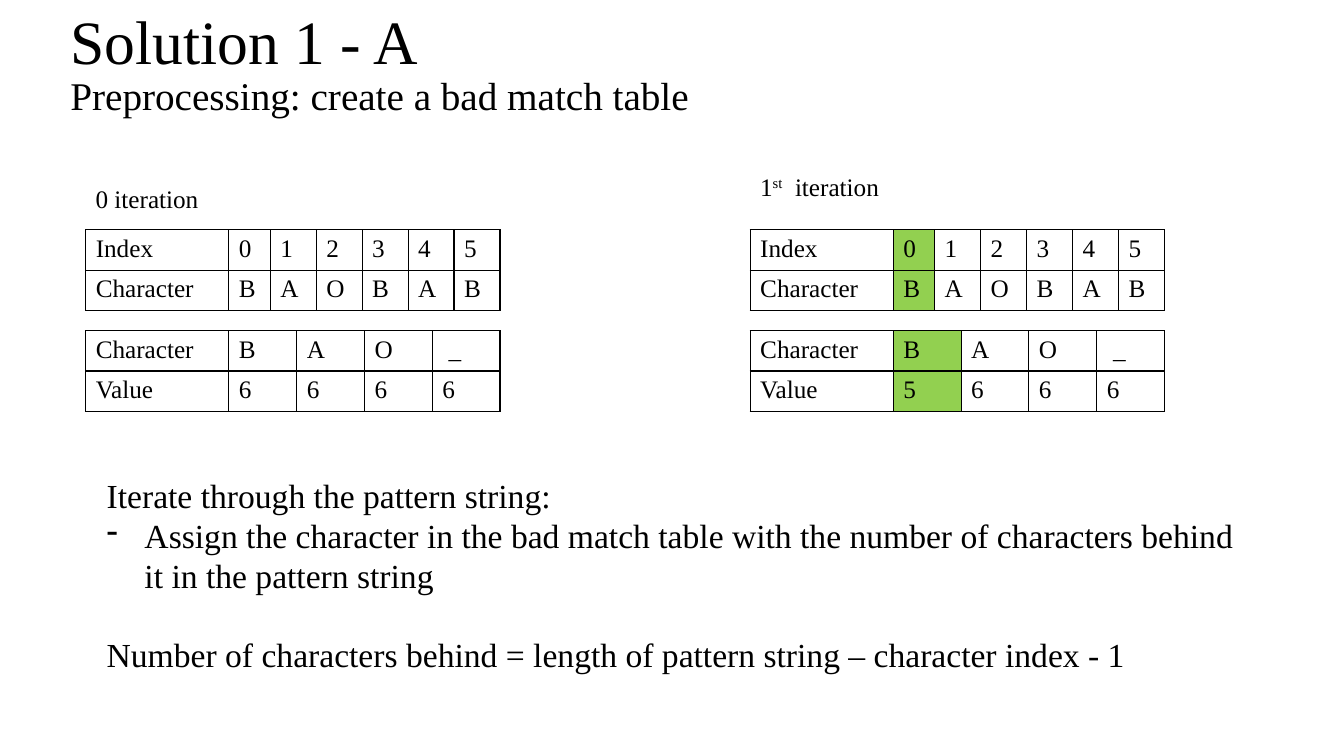
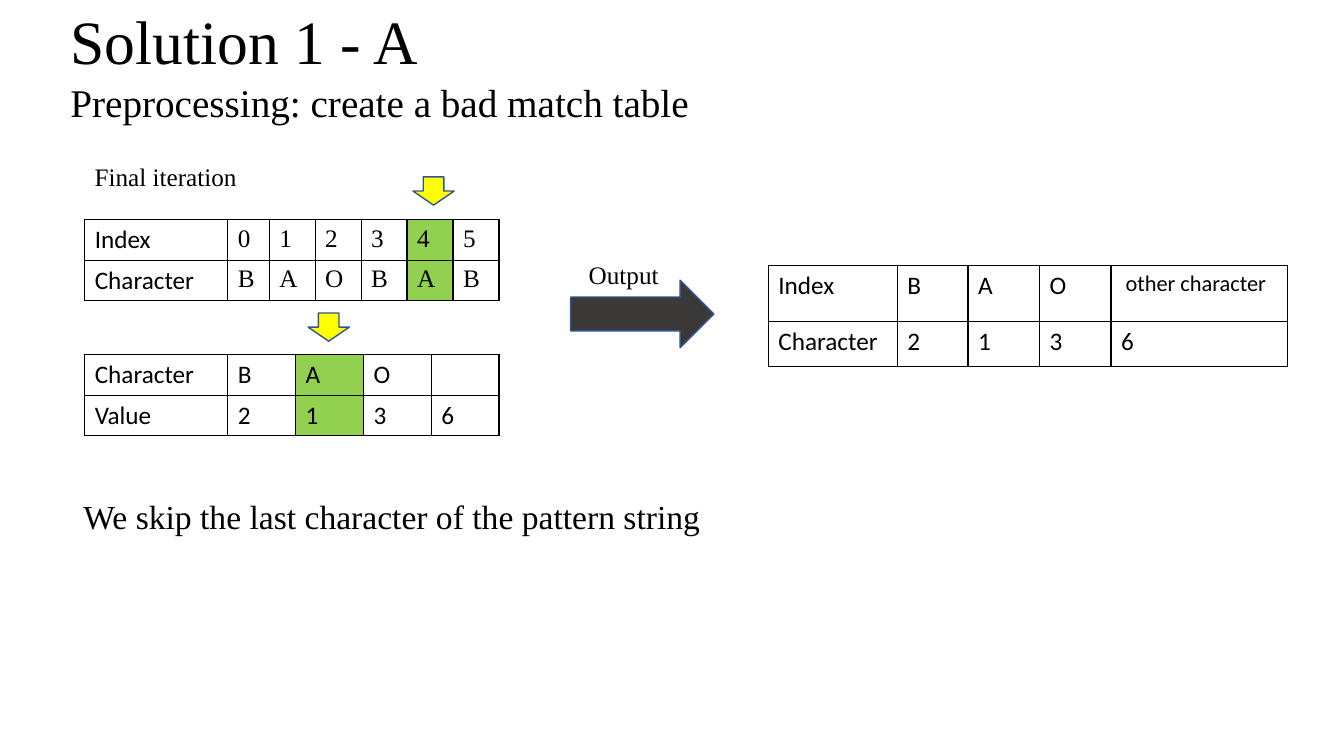
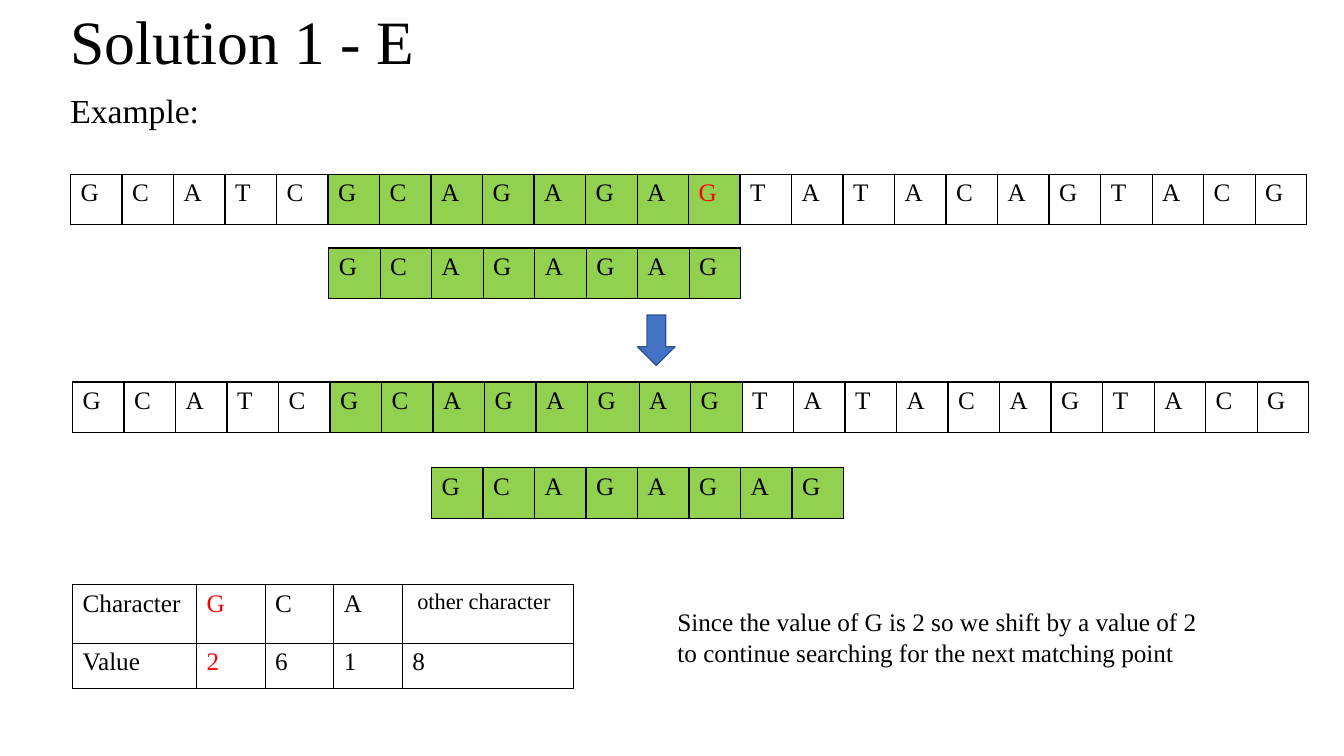
from dataclasses import dataclass, field

import lxml.etree
import pptx
import pptx.dml.color
import pptx.enum.shapes
import pptx.enum.text
import pptx.oxml.ns
import pptx.slide
import pptx.text.text
import pptx.util

Inches = pptx.util.Inches
TIMES = "Times New Roman"
PLAIN = "Calibri"
BLACK = "000000"
RED = "FF0000"
GREEN = "92D050"
YELLOW = "FFFF00"
BLUE = "4472C4"
GREY = "3B3838"
EDGE = "325491"
LABEL = 1.42
BAND = 2.69
STEP = 12.26 / 24


@dataclass
class Run:
    text: str
    size: float = 18
    raised: bool = False


@dataclass
class Para:
    runs: list[Run]
    dash: bool = False
    before: float = 0
    lines: float = 1


@dataclass
class Grid:
    left: float
    top: float
    widths: list[float]
    heights: list[float]
    rows: list[list[str | list[Run]]]
    font: str = TIMES
    lit: set[int] = field(default_factory=set)
    red: set[int] = field(default_factory=set)


@dataclass
class Arrow:
    left: float
    top: float
    width: float
    height: float
    fill: str
    turn: float = 90


def tint(code: str) -> pptx.dml.color.RGBColor:
    return pptx.dml.color.RGBColor.from_string(code)


def add_tag(parent: lxml.etree._Element, name: str, **values: str) -> lxml.etree._Element:
    return lxml.etree.SubElement(parent, pptx.oxml.ns.qn(name), values)


def write(para: pptx.text.text._Paragraph, runs: list[Run], font: str = TIMES, shade: str = BLACK) -> None:
    for item in runs:
        run = para.add_run()
        run.text = item.text
        run.font.name = font
        run.font.size = pptx.util.Pt(item.size)
        run.font.color.rgb = tint(shade)
        if item.raised:
            run._r.get_or_add_rPr().set("baseline", "30000")


def add_text(slide: pptx.slide.Slide, left: float, top: float, width: float, height: float,
             paras: list[Para], middle: bool = False) -> None:
    box = slide.shapes.add_textbox(Inches(left), Inches(top), Inches(width), Inches(height))
    frame = box.text_frame
    frame.word_wrap = True
    if middle:
        frame.vertical_anchor = pptx.enum.text.MSO_ANCHOR.MIDDLE
    for spot, item in enumerate(paras):
        para = frame.add_paragraph() if spot else frame.paragraphs[0]
        para.line_spacing = item.lines
        para.space_before = pptx.util.Pt(item.before)
        write(para, item.runs)
        if item.dash:
            props = para._p.get_or_add_pPr()
            indent = pptx.util.Pt(27)
            props.set("marL", str(indent))
            props.set("indent", str(-indent))
            add_tag(props, "a:buChar", char="-")


def add_note(slide: pptx.slide.Slide, left: float, top: float, width: float, height: float,
             text: str, size: float = 18) -> None:
    add_text(slide, left, top, width, height, [Para([Run(text, size)])])


def add_head(slide: pptx.slide.Slide, title: str, text: str, top: float, size: float) -> None:
    add_text(slide, 0.6, 0, 10.32, 0.89, [Para([Run(title, 44)], lines=0.9)], True)
    add_text(slide, 0.6, top, 11.5, 5.33, [Para([Run(text, size)], before=10, lines=0.9)])


def add_edges(cell: pptx.table._Cell) -> None:
    props = cell._tc.get_or_add_tcPr()
    for spot, side in enumerate(("a:lnL", "a:lnR", "a:lnT", "a:lnB")):
        line = add_tag(props, side, w=str(pptx.util.Pt(1)))
        add_tag(add_tag(line, "a:solidFill"), "a:srgbClr", val=BLACK)
        props.insert(spot, line)


def add_grid(slide: pptx.slide.Slide, grid: Grid) -> None:
    table = slide.shapes.add_table(
        len(grid.rows), len(grid.widths), Inches(grid.left), Inches(grid.top),
        Inches(sum(grid.widths)), Inches(sum(grid.heights))).table
    table.first_row = False
    table.horz_banding = False
    for column, width in zip(table.columns, grid.widths):
        column.width = Inches(width)
    for row, height in zip(table.rows, grid.heights):
        row.height = Inches(height)
    for down, row in enumerate(grid.rows):
        for across, text in enumerate(row):
            cell = table.cell(down, across)
            if across in grid.lit:
                cell.fill.solid()
                cell.fill.fore_color.rgb = tint(GREEN)
            else:
                cell.fill.background()
            add_edges(cell)
            runs = [Run(text)] if isinstance(text, str) else text
            if text:
                write(cell.text_frame.paragraphs[0], runs, grid.font,
                      RED if across in grid.red else BLACK)


def add_pair(slide: pptx.slide.Slide, left: float, top: float, names: list[str],
             rows: list[list[str]], height: float, lit: set[int],
             label_font: str = TIMES, font: str = TIMES) -> None:
    count = len(rows[0])
    widths = [0.41] + [(BAND - 0.41) / 5] * 5 if count == 6 else [BAND / count] * count
    add_grid(slide, Grid(left + LABEL, top, widths, [height] * 2, rows, font, lit))
    add_grid(slide, Grid(left, top, [LABEL], [0.4] * 2, [[name] for name in names], label_font))


def add_strip(slide: pptx.slide.Slide, left: float, top: float, parts: list[str],
              lit: range, red: int = -1) -> None:
    start = 0
    for part in parts:
        count = len(part)
        add_grid(slide, Grid(
            left + start * STEP, top, [STEP] * count, [0.5], [list(part)],
            lit={spot - start for spot in lit}, red={red - start}))
        start += count


def add_arrow(slide: pptx.slide.Slide, arrow: Arrow) -> None:
    shape = slide.shapes.add_shape(
        pptx.enum.shapes.MSO_SHAPE.RIGHT_ARROW, Inches(arrow.left), Inches(arrow.top),
        Inches(arrow.width), Inches(arrow.height))
    shape.rotation = arrow.turn
    shape.shadow.inherit = False
    shape.fill.solid()
    shape.fill.fore_color.rgb = tint(arrow.fill)
    shape.line.color.rgb = tint(EDGE)
    shape.line.width = pptx.util.Pt(1)


INDEX = [list("012345"), list("BAOBAB")]
TOP_NAMES = ["Index", "Character"]
LOW_NAMES = ["Character", "Value"]
OTHER = [Run(" ", 14), Run("other character", 16)]
GENOME = ["GCATCGCAGA", "GAGTATACAG", "TACG"]
PATTERN = ["GCAG", "AGAG"]
TITLE = "Solution 1 - A"
TOPIC = "Preprocessing: create a bad match table"


def draw_start(slide: pptx.slide.Slide) -> None:
    add_head(slide, TITLE, TOPIC, 0.71, 28)
    for left, first, height, lit in ((0.85, "6", 0.38, set()), (7.44, "5", 0.4, {0})):
        add_pair(slide, left, 2.28, TOP_NAMES, INDEX, height, lit)
        add_pair(slide, left, 3.28, LOW_NAMES,
                 [["B", "A", "O", " _"], [first, "6", "6", "6"]], height, lit)
    add_note(slide, 0.85, 1.77, 2.53, 0.4, "0 iteration")
    add_text(slide, 7.44, 1.65, 2.53, 0.4,
             [Para([Run("1"), Run("st", raised=True), Run("  iteration")])])
    add_text(slide, 0.96, 4.66, 11.64, 2.12, [
        Para([Run("Iterate through the pattern string:", 24)]),
        Para([Run("Assign the character in the bad match table with the number of "
                  "characters behind it in the pattern string", 24)], dash=True),
        Para([Run("Number of characters behind = length of pattern string – "
                  "character index - 1", 24)], before=27),
    ])


def draw_final(slide: pptx.slide.Slide) -> None:
    add_head(slide, TITLE, TOPIC, 0.78, 28)
    add_note(slide, 0.84, 1.55, 2.53, 0.4, "Final iteration")
    add_pair(slide, 0.84, 2.18, TOP_NAMES, INDEX, 0.38, {4}, PLAIN)
    add_pair(slide, 0.84, 3.52, LOW_NAMES, [["B", "A", "O", ""], list("2136")],
             0.4, {1}, PLAIN, PLAIN)
    add_grid(slide, Grid(
        7.62, 2.63, [1.28, 0.7, 0.71, 0.71, 1.75], [0.56, 0.45],
        [["Index", "B", "A", "O", OTHER], ["Character", "2", "1", "3", "6"]], PLAIN))
    for arrow in (Arrow(4.16, 1.69, 0.28, 0.41, YELLOW),
                  Arrow(3.12, 3.04, 0.28, 0.41, YELLOW),
                  Arrow(5.66, 2.78, 1.42, 0.67, GREY, 0)):
        add_arrow(slide, arrow)
    add_note(slide, 5.74, 2.52, 1, 0.4, "Output")
    add_note(slide, 0.73, 4.87, 11.64, 0.91,
             "We skip the last character of the pattern string", 24)


def draw_search(slide: pptx.slide.Slide) -> None:
    add_head(slide, "Solution 1 - E", "Example:", 0.89, 24)
    add_strip(slide, 0.7, 1.73, GENOME, range(5, 13), 12)
    add_strip(slide, 3.26, 2.46, PATTERN, range(8))
    add_arrow(slide, Arrow(6.26, 3.19, 0.5, 0.37, BLUE))
    add_strip(slide, 0.72, 3.79, GENOME, range(5, 13))
    add_strip(slide, 4.28, 4.64, PATTERN, range(8))
    add_grid(slide, Grid(
        0.72, 5.8, [1.23, 0.68, 0.68, 0.68, 1.7], [0.58, 0.45],
        [["Character", "G", "C", "A", OTHER], ["Value", "2", "6", "1", "8"]], red={1}))
    add_note(slide, 6.62, 5.97, 5.49, 0.71,
             "Since the value of G is 2 so we shift by a value of 2 to continue "
             "searching for the next matching point")


def main() -> None:
    deck = pptx.Presentation()
    deck.slide_width = Inches(13.33)
    deck.slide_height = Inches(7.5)
    for draw in (draw_start, draw_final, draw_search):
        draw(deck.slides.add_slide(deck.slide_layouts[6]))
    deck.save("out.pptx")


if __name__ == "__main__":
    main()
